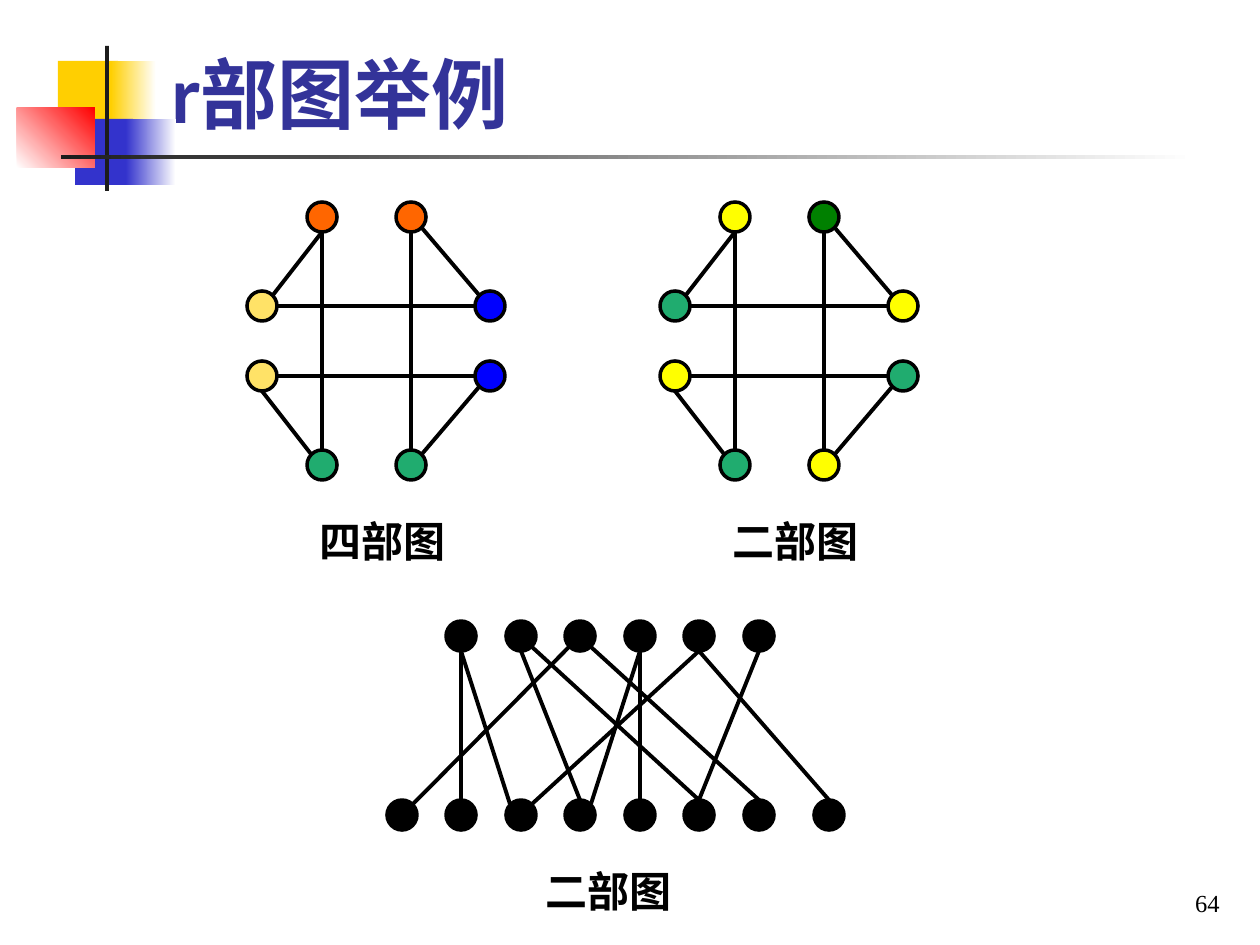
from lxml.etree import SubElement
from pptx import Presentation
from pptx.dml.color import RGBColor
from pptx.enum.shapes import MSO_CONNECTOR as Connector, MSO_SHAPE as Shape
from pptx.enum.text import MSO_ANCHOR as Anchor, MSO_AUTO_SIZE as AutoSize, PP_ALIGN as Align
from pptx.oxml.ns import qn
from pptx.util import Emu, Pt

SCALE = 914400 / 126
NODE = 30
RADIUS = NODE // 2
DIAGONAL = 11
BLACK = "000000"
SITES = {
    "top": (0, -RADIUS), "bottom": (0, RADIUS),
    "left": (-RADIUS, 0), "right": (RADIUS, 0),
    "top left": (-DIAGONAL, -DIAGONAL), "top right": (DIAGONAL, -DIAGONAL),
    "bottom left": (-DIAGONAL, DIAGONAL), "bottom right": (DIAGONAL, DIAGONAL),
}

RING_NODES = [(60, 0), (149, 0), (0, 89), (0, 159), (228, 89), (228, 159), (60, 248), (149, 248)]
RING_EDGES = [
    (0, "bottom", 2, "top right"), (1, "bottom right", 4, "top left"),
    (2, "right", 4, "left"), (3, "right", 5, "left"),
    (3, "bottom", 6, "top left"), (7, "top right", 5, "bottom left"),
    (0, "bottom", 6, "top"), (1, "bottom", 7, "top"),
]
FOUR_PART_COLORS = ["FF6600", "FF6600", "FFE267", "FFE267", "0000FF", "0000FF", "20AC6F", "20AC6F"]
TWO_PART_COLORS = ["FFFF00", "008000", "20AC6F", "FFFF00", "FFFF00", "20AC6F", "20AC6F", "FFFF00"]

COLUMNS = [index * 119 // 2 for index in range(7)] + [427]
ROW_NODES = [(x, 0) for x in COLUMNS[1:7]] + [(x, 179) for x in COLUMNS]
ROW_EDGES = [
    (0, "bottom", 7, "top"), (0, "bottom", 8, "top left"),
    (1, "bottom", 9, "top"), (1, "bottom right", 11, "top"),
    (2, "bottom left", 6, "top right"), (2, "bottom right", 12, "top"),
    (3, "bottom", 9, "top right"), (3, "bottom", 10, "top"),
    (4, "bottom", 8, "top right"), (4, "bottom", 13, "top"),
    (5, "bottom", 11, "top"),
]


def px(*lengths):
    return [Emu(round(length * SCALE)) for length in lengths]


def color(value):
    return RGBColor.from_string(value)


def format_text(shape, size, font_name, font_color=BLACK, bold=False, align=Align.LEFT):
    paragraph = shape.text_frame.paragraphs[0]
    paragraph.alignment = align
    for run in paragraph.runs:
        run.font.size = Pt(size)
        run.font.name = font_name
        run.font.bold = bold
        run.font.color.rgb = color(font_color)


def add_block(slide, box, start, end=None, angle=0):
    shape = slide.shapes.add_shape(Shape.RECTANGLE, *px(*box))
    shape.shadow.inherit = False
    shape.line.fill.background()
    if end is None:
        shape.fill.solid()
        shape.fill.fore_color.rgb = color(start)
        return
    shape.fill.gradient()
    shape.fill.gradient_angle = angle
    for stop, value in zip(shape.fill.gradient_stops, (start, end)):
        stop.color.rgb = color(value)


def add_decoration(slide, left, top):
    blocks = [
        ((41, 15, 60, 66), "FFCF01"),
        ((94, 15, 45, 66), "FFCF01", "FFFFFF"),
        ((58, 73, 58, 66), "3333CC"),
        ((109, 73, 50, 66), "3333CC", "FFFFFF"),
        ((0, 62, 78, 60), "FFFFFF", "FF0000", 45),
        ((88, 0, 4, 145), "1C1C1C"),
        ((44, 109, 1134, 4), "1C1C1C", "FFFFFF"),
    ]
    for (x, y, width, height), *paint in blocks:
        add_block(slide, (left + x, top + y, width, height), *paint)


def add_title(slide, box):
    title = slide.shapes.title
    title.left, title.top, title.width, title.height = px(*box)
    frame = title.text_frame
    frame.text = "r部图举例"
    frame.vertical_anchor = Anchor.BOTTOM
    frame.auto_size = AutoSize.NONE
    format_text(title, 44, "Lato", "333399", True)
    properties = frame.paragraphs[0].runs[0].font.fill._xPr
    effects = properties.makeelement(qn("a:effectLst"), {})
    properties.find(qn("a:solidFill")).addnext(effects)
    shadow = SubElement(effects, qn("a:outerShdw"), dist="25400", dir="2700000")
    SubElement(shadow, qn("a:srgbClr"), val=BLACK)


def add_node(group, left, top, fill):
    node = group.shapes.add_shape(Shape.OVAL, *px(left, top, NODE, NODE))
    node.shadow.inherit = False
    node.fill.solid()
    node.fill.fore_color.rgb = color(fill)
    node.line.color.rgb = color(BLACK)
    node.line.width = Pt(2)


def add_edge(group, start, end):
    edge = group.shapes.add_connector(Connector.STRAIGHT, *px(*start, *end))
    edge.line.color.rgb = color(BLACK)
    edge.line.width = Pt(2.25)
    SubElement(edge._element.spPr, qn("a:effectLst"))


def add_graph(slide, left, top, nodes, edges, fills, caption, caption_at):
    group = slide.shapes.add_group_shape()

    def site(index, name):
        x, y = nodes[index]
        dx, dy = SITES[name]
        return left + x + RADIUS + dx, top + y + RADIUS + dy

    for (x, y), fill in zip(nodes, fills):
        add_node(group, left + x, top + y, fill)
    for first, first_site, second, second_site in edges:
        add_edge(group, site(first, first_site), site(second, second_site))
    x, y = caption_at
    label = group.shapes.add_textbox(*px(left + x, top + y, 152, 63))
    label.text_frame.text = caption
    label.text_frame.word_wrap = False
    label.text_frame.auto_size = AutoSize.SHAPE_TO_FIT_TEXT
    format_text(label, 24, "Times New Roman", bold=True)


def add_page_number(slide, box):
    number = slide.shapes.add_textbox(*px(*box))
    number.text_frame.text = "64"
    number.text_frame.word_wrap = True
    number.text_frame.vertical_anchor = Anchor.BOTTOM
    format_text(number, 14, "Times New Roman", align=Align.RIGHT)


def main():
    presentation = Presentation()
    presentation.slide_width, presentation.slide_height = px(1260, 945)
    slide = presentation.slides.add_slide(presentation.slide_layouts[5])
    add_decoration(slide, 17, 46)
    add_title(slide, (159, 10, 1073, 135))
    add_graph(slide, 247, 202, RING_NODES, RING_EDGES, FOUR_PART_COLORS, "四部图", (60, 307))
    add_graph(slide, 660, 202, RING_NODES, RING_EDGES, TWO_PART_COLORS, "二部图", (60, 307))
    add_graph(slide, 387, 621, ROW_NODES, ROW_EDGES, [BLACK] * len(ROW_NODES), "二部图", (146, 238))
    add_page_number(slide, (970, 861, 262, 63))
    presentation.save("out.pptx")


if __name__ == "__main__":
    main()
